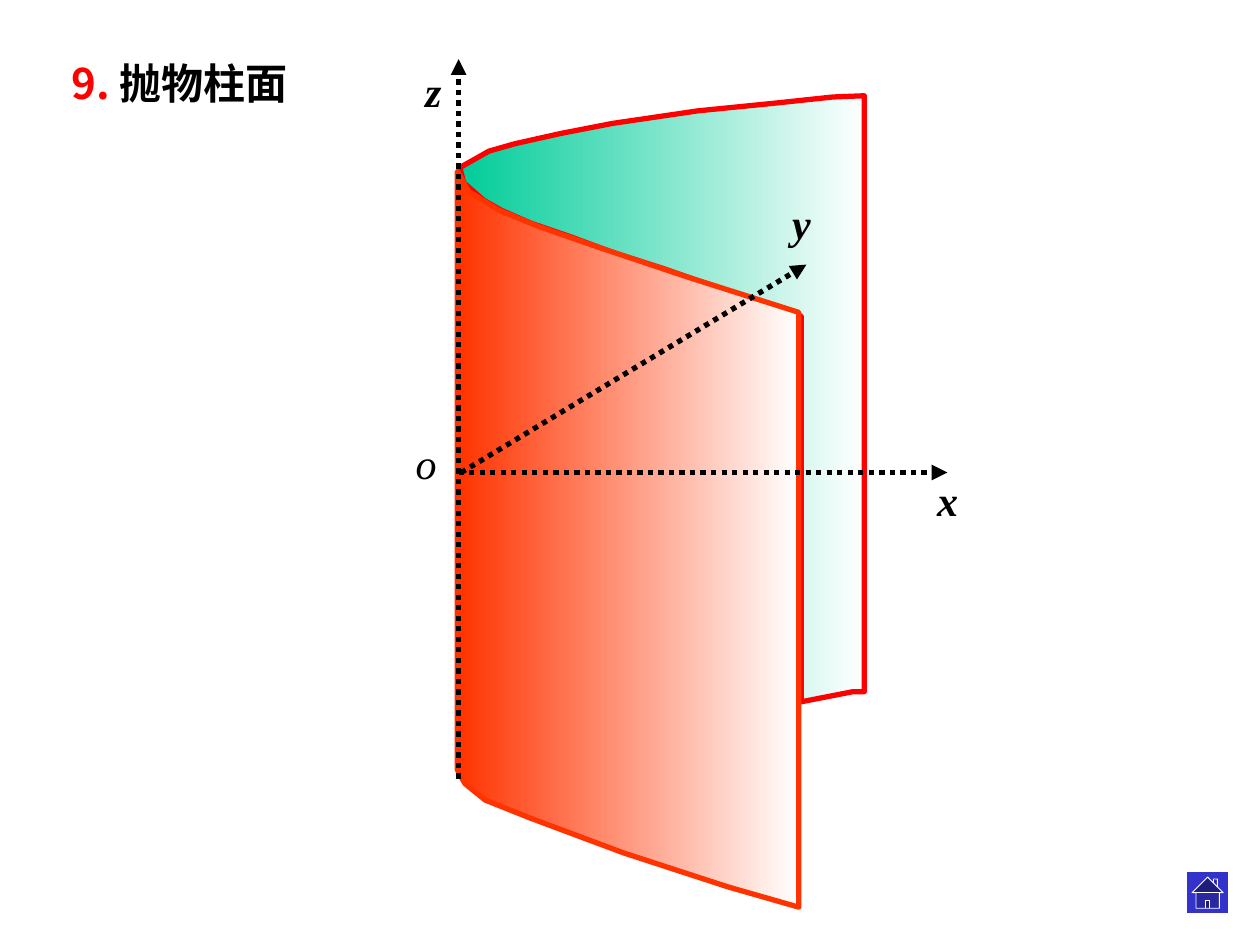
"""Build a slide showing a parabolic cylinder with its coordinate axes."""
import pptx
import pptx.dml.color
import pptx.enum.dml
import pptx.enum.shapes
import pptx.enum.text
import pptx.oxml
import pptx.oxml.ns
import pptx.util

Inches = pptx.util.Inches
Pt = pptx.util.Pt
RGBColor = pptx.dml.color.RGBColor
PP_ALIGN = pptx.enum.text.PP_ALIGN
MSO_ANCHOR = pptx.enum.text.MSO_ANCHOR
MSO_AUTO_SIZE = pptx.enum.text.MSO_AUTO_SIZE

BLACK = RGBColor(0x00, 0x00, 0x00)
WHITE = RGBColor(0xFF, 0xFF, 0xFF)
RED = RGBColor(0xFF, 0x00, 0x00)
ORANGE = RGBColor(0xFF, 0x33, 0x00)
GREEN = RGBColor(0x00, 0xCC, 0x99)
BLUE = RGBColor(0x33, 0x33, 0xCC)
SERIF = "Times New Roman"
CJK = "Noto Sans CJK SC"

TITLE = [("9. ", RED, CJK), ("抛物柱面", BLACK, SERIF)]

BACK_SHEET = [
    (3.65, 1.33), (3.88, 1.2), (4.09, 1.14), (4.45, 1.06), (4.86, 0.98),
    (5.54, 0.88), (6.14, 0.82), (6.61, 0.77), (6.86, 0.76), (6.86, 5.49),
    (6.77, 5.49), (6.36, 5.57), (6.36, 2.51), (5.98, 2.38), (5.63, 2.26),
    (5.26, 2.13), (4.88, 2.01), (4.53, 1.88), (4.21, 1.77), (3.98, 1.67),
    (3.84, 1.59), (3.68, 1.45),
]
FRONT_SHEET = [
    (3.63, 1.36), (3.63, 6.11), (3.69, 6.22), (3.85, 6.35), (4.2, 6.49),
    (4.95, 6.77), (5.78, 7.04), (6.34, 7.2), (6.34, 2.48), (5.49, 2.21),
    (4.77, 1.97), (4.28, 1.8), (3.96, 1.67), (3.72, 1.52),
]
SHEETS = [(BACK_SHEET, GREEN, RED), (FRONT_SHEET, ORANGE, ORANGE)]

AXES = [
    ((3.64, 6.18), (3.64, 0.47)),
    ((3.64, 3.75), (7.52, 3.75)),
    ((3.66, 3.75), (6.4, 2.1)),
]
LABELS = [
    ("z", (3.06, 0.47, 0.76, 0.5), True),
    ("x", (7.3, 3.72, 0.44, 0.5), True),
    ("y", (6.14, 1.52, 0.44, 0.5), True),
    ("o", (3.2, 3.42, 0.37, 0.5), False),
]
TITLE_BOX = (0.47, 0.47, 2.47, 0.37)
HOME_BOX = (9.42, 6.92, 0.33, 0.33)


def add_run(p, text, color=BLACK, font=SERIF, size=24, bold=True, italic=False):
    r = p.add_run()
    r.text = text
    r.font.name = font
    r.font.size = Pt(size)
    r.font.bold = bold
    r.font.italic = italic
    r.font.color.rgb = color
    ea = pptx.oxml.parse_xml(
        f'<a:ea {pptx.oxml.ns.nsdecls("a")} typeface="{CJK}"/>')
    r.font._element.find(pptx.oxml.ns.qn("a:latin")).addnext(ea)


def add_title(s):
    sp = s.shapes.title
    sp.left, sp.top, sp.width, sp.height = map(Inches, TITLE_BOX)
    tf = sp.text_frame
    tf.auto_size = MSO_AUTO_SIZE.NONE
    tf.vertical_anchor = MSO_ANCHOR.MIDDLE
    p = tf.paragraphs[0]
    p.alignment = PP_ALIGN.LEFT
    for text, color, font in TITLE:
        add_run(p, text, color=color, font=font)


def add_sheet(s, points, color, edge):
    corners = [(Inches(x), Inches(y)) for x, y in points]
    builder = s.shapes.build_freeform(*corners[0])
    builder.add_line_segments(corners[1:], close=True)
    sp = builder.convert_to_shape()
    sp.shadow.inherit = False
    sp.fill.gradient()
    sp.fill.gradient_angle = 0
    for stop, rgb in zip(sp.fill.gradient_stops, (color, WHITE)):
        stop.color.rgb = rgb
    sp.line.color.rgb = edge
    sp.line.width = Pt(3)


def add_axis(s, start, end):
    cx = s.shapes.add_connector(
        pptx.enum.shapes.MSO_CONNECTOR.STRAIGHT, *map(Inches, start + end))
    cx.line.color.rgb = BLACK
    cx.line.width = Pt(3)
    cx.line.dash_style = pptx.enum.dml.MSO_LINE.ROUND_DOT
    ns = pptx.oxml.ns.nsdecls("a")
    cx.line._get_or_add_ln().append(
        pptx.oxml.parse_xml(f'<a:tailEnd {ns} type="triangle"/>'))
    cx._element.spPr.append(pptx.oxml.parse_xml(f"<a:effectLst {ns}/>"))


def add_label(s, text, box, is_axis):
    tf = s.shapes.add_textbox(*map(Inches, box)).text_frame
    tf.word_wrap = is_axis
    tf.auto_size = MSO_AUTO_SIZE.SHAPE_TO_FIT_TEXT
    tf.vertical_anchor = MSO_ANCHOR.MIDDLE if is_axis else MSO_ANCHOR.TOP
    p = tf.paragraphs[0]
    p.alignment = PP_ALIGN.CENTER if is_axis else PP_ALIGN.LEFT
    add_run(p, text, bold=is_axis, italic=True)


def add_home_button(s):
    sp = s.shapes.add_shape(
        pptx.enum.shapes.MSO_SHAPE.ACTION_BUTTON_HOME, *map(Inches, HOME_BOX))
    sp.shadow.inherit = False
    sp.fill.solid()
    sp.fill.fore_color.rgb = BLUE
    sp.line.color.rgb = WHITE
    sp.line.width = Pt(0.5)


def main():
    prs = pptx.Presentation()
    prs.slide_width, prs.slide_height = Inches(10), Inches(7.5)
    s = prs.slides.add_slide(prs.slide_layouts[5])
    add_title(s)
    for sheet in SHEETS:
        add_sheet(s, *sheet)
    for axis in AXES:
        add_axis(s, *axis)
    for label in LABELS:
        add_label(s, *label)
    add_home_button(s)
    prs.save("out.pptx")


if __name__ == "__main__":
    main()
